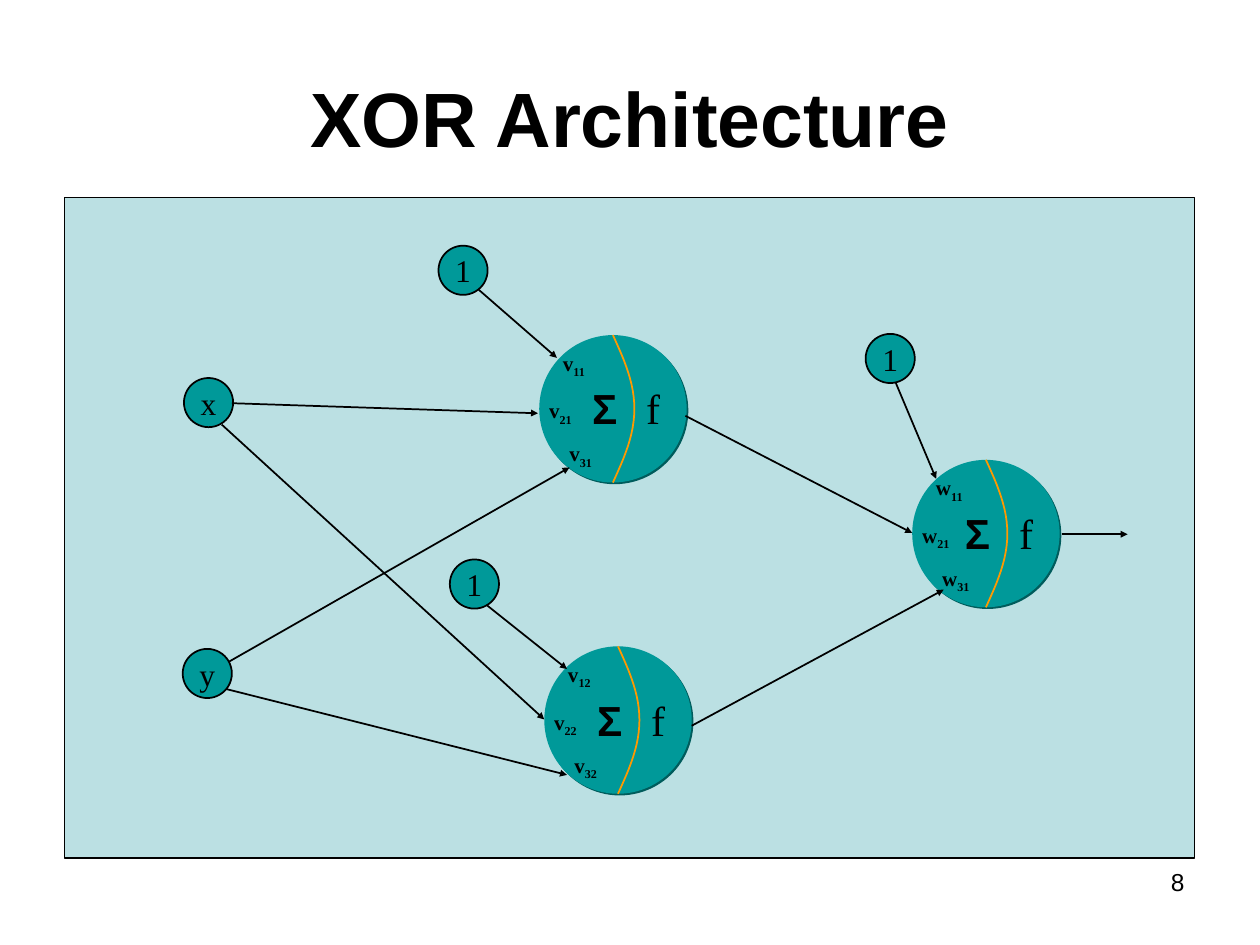
from math import pi, sin

from lxml import etree
from pptx import Presentation
from pptx.dml.color import RGBColor
from pptx.enum.shapes import MSO_CONNECTOR as CONN, MSO_SHAPE as SHAPE
from pptx.enum.text import MSO_ANCHOR as ANCHOR, MSO_AUTO_SIZE as FIT, PP_ALIGN as ALIGN
from pptx.oxml import parse_xml
from pptx.oxml.ns import nsdecls, qn
from pptx.util import Inches, Pt

BLACK, TEAL, PALE, ORANGE, SHADE = "000000", "009999", "BBE0E3", "FF9900", "005C5C"
SANS, SERIF = "Arial", "Times New Roman"
NODE, NEURON, BULGE, STEPS = 0.39, 1.17, 0.17, 24

TITLE = {"name": SANS, "size": Pt(44), "bold": True}
NUMBER = {"name": SANS, "size": Pt(14)}
INPUT = {"name": SERIF, "size": Pt(18)}
FUNCTION = {"name": SERIF, "size": Pt(24)}
SUM = {"name": SANS, "size": Pt(24), "bold": True}
WEIGHT = {"name": SERIF, "size": Pt(12), "bold": True}

NODES = [
    ("x", 1.46, 3), ("y", 1.45, 5.15),
    ("1", 3.48, 1.95), ("1", 3.57, 4.44), ("1", 6.87, 2.65),
]
NEURONS = [
    (4.28, 2.66, "v", ("11", "21", "31")),
    (4.32, 5.13, "v", ("12", "22", "32")),
    (7.24, 3.65, "w", ("11", "21", "31")),
]
WEIGHT_OFFSETS = [(0.09, 0.07), (-0.02, 0.45), (0.14, 0.79)]
ARROWS = [
    (3.86, 4.8, 4.5, 5.31), (3.8, 2.3, 4.42, 2.84),
    (1.84, 3.2, 4.27, 3.28), (1.76, 3.37, 4.32, 5.71),
    (1.82, 5.25, 4.52, 3.71), (1.8, 5.47, 4.5, 6.15),
    (7.11, 3.04, 7.43, 3.8), (5.44, 3.3, 7.24, 4.23),
    (5.49, 5.76, 7.49, 4.68), (8.43, 4.24, 8.95, 4.24),
]


def color(value):
    return RGBColor.from_string(value)


def set_line(line, value, width):
    line.color.rgb = color(value)
    line.width = Pt(width)


def add_run(p, text, style):
    r = p.add_run()
    r.text = text
    for name, value in style.items():
        setattr(r.font, name, value)
    r.font.color.rgb = color(BLACK)
    return r


def add_label(shapes, box, text, style, sub="", align=ALIGN.LEFT, anchor=ANCHOR.TOP, wrap=False):
    tf = shapes.add_textbox(*map(Inches, box)).text_frame
    tf.word_wrap = wrap
    tf.auto_size = FIT.NONE if wrap else FIT.SHAPE_TO_FIT_TEXT
    tf.vertical_anchor = anchor
    p = tf.paragraphs[0]
    p.alignment = align
    add_run(p, text, style)
    if sub:
        r = add_run(p, sub, style)
        r._r.get_or_add_rPr().set("baseline", "-25000")


def add_filled(shapes, kind, box, fill, width=None):
    sp = shapes.add_shape(kind, *map(Inches, box))
    sp.shadow.inherit = False
    sp.fill.solid()
    sp.fill.fore_color.rgb = color(fill)
    if width:
        set_line(sp.line, BLACK, width)
    else:
        sp.line.fill.background()
    return sp


def add_node(shapes, text, x, y):
    tf = add_filled(shapes, SHAPE.OVAL, (x, y, NODE, NODE), TEAL, 1).text_frame
    tf.word_wrap = False
    tf.vertical_anchor = ANCHOR.MIDDLE
    p = tf.paragraphs[0]
    p.alignment = ALIGN.CENTER
    add_run(p, text, INPUT)


def add_divider(shapes, x, y):
    points = [
        (Inches(x + BULGE * sin(pi * i / STEPS)), Inches(y + NEURON * i / STEPS))
        for i in range(STEPS + 1)
    ]
    builder = shapes.build_freeform(*points[0])
    builder.add_line_segments(points[1:], close=False)
    sp = builder.convert_to_shape()
    sp.shadow.inherit = False
    sp.fill.background()
    set_line(sp.line, ORANGE, 1)


def add_neuron(slide, x, y, letter, subs):
    shapes = slide.shapes.add_group_shape().shapes
    body = add_filled(shapes, SHAPE.OVAL, (x, y, NEURON, NEURON), TEAL)
    effects = body._element.spPr.find(qn("a:effectLst"))
    effects.append(parse_xml(
        f'<a:outerShdw {nsdecls("a")} dist="{Pt(1.4)}" dir="2700000" algn="ctr" rotWithShape="0">'
        f'<a:srgbClr val="{SHADE}"/></a:outerShdw>'
    ))
    add_divider(shapes, x + NEURON / 2, y)
    add_label(shapes, (x + 0.75, y + 0.33, 0.31, 0.5), "f", FUNCTION)
    add_label(shapes, (x + 0.32, y + 0.33, 0.39, 0.5), "Σ", SUM)
    width = 0.46 if letter == "w" else 0.4
    for sub, (dx, dy) in zip(subs, WEIGHT_OFFSETS):
        add_label(shapes, (x + dx, y + dy, width, 0.33), letter, WEIGHT, sub)


def add_arrow(shapes, *ends):
    c = shapes.add_connector(CONN.STRAIGHT, *map(Inches, ends))
    set_line(c.line, BLACK, 1)
    etree.SubElement(c.line._get_or_add_ln(), qn("a:tailEnd"), type="triangle", w="sm", len="sm")
    etree.SubElement(c._element.spPr, qn("a:effectLst"))


def main():
    prs = Presentation()
    prs.slide_width, prs.slide_height = Inches(10), Inches(7.5)
    slide = prs.slides.add_slide(prs.slide_layouts[6])
    shapes = slide.shapes
    add_label(shapes, (7.17, 6.83, 2.33, 0.52), "8", NUMBER, align=ALIGN.RIGHT, wrap=True)
    add_label(shapes, (0.5, 0.3, 9, 1.25), "XOR Architecture", TITLE,
              align=ALIGN.CENTER, anchor=ANCHOR.MIDDLE, wrap=True)
    add_filled(shapes, SHAPE.RECTANGLE, (0.51, 1.57, 8.97, 5.24), PALE, 0.75)
    for neuron in NEURONS:
        add_neuron(slide, *neuron)
    for node in NODES:
        add_node(shapes, *node)
    for arrow in ARROWS:
        add_arrow(shapes, *arrow)
    prs.save("out.pptx")


if __name__ == "__main__":
    main()
